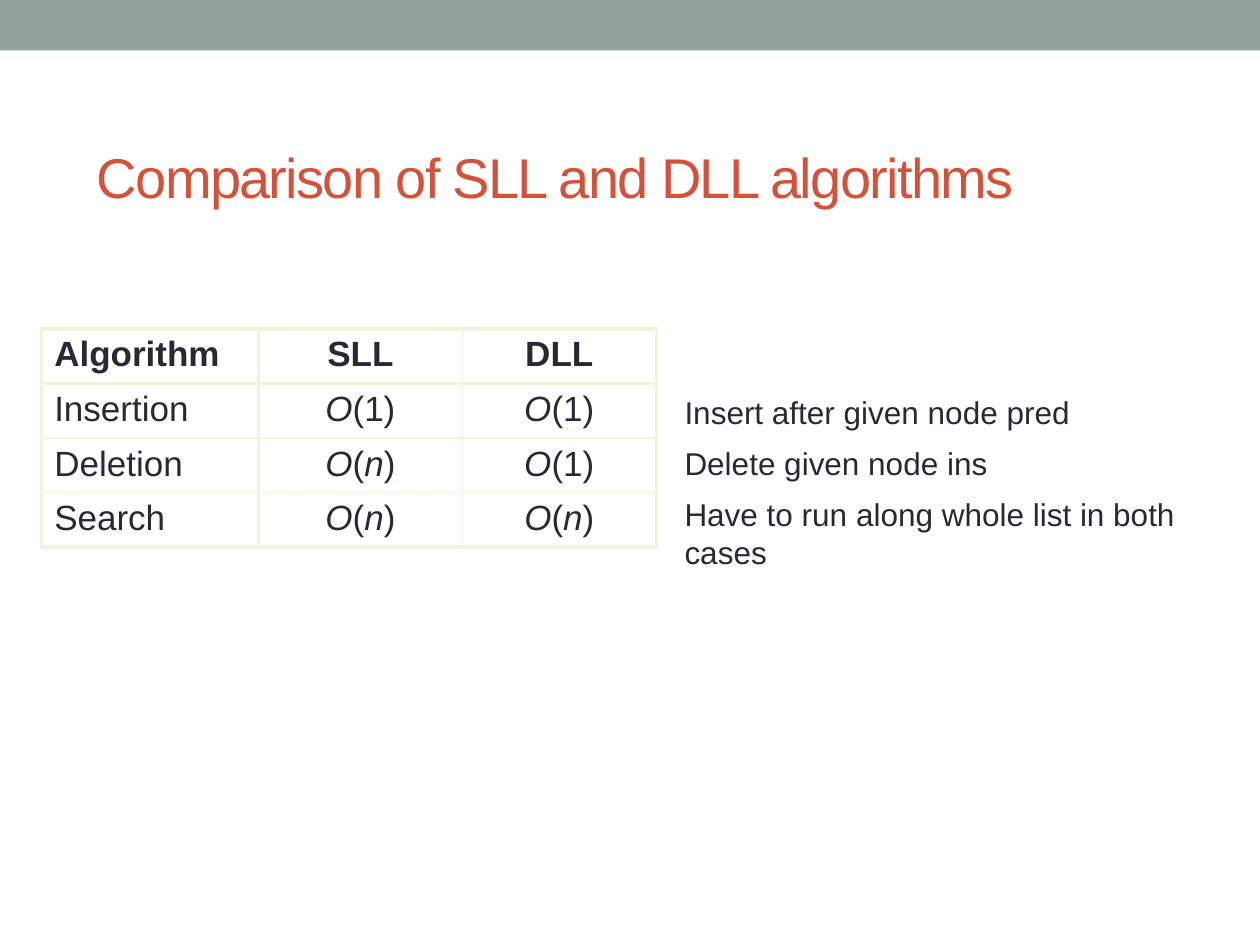
"""Build a slide comparing singly and doubly linked list algorithms."""
from itertools import groupby

from lxml import etree
from pptx import Presentation
from pptx.dml.color import RGBColor
from pptx.enum.shapes import MSO_SHAPE
from pptx.enum.text import MSO_ANCHOR, MSO_AUTO_SIZE, PP_ALIGN
from pptx.oxml.ns import qn
from pptx.util import Cm, Pt

RECTANGLE = MSO_SHAPE.RECTANGLE
MIDDLE = MSO_ANCHOR.MIDDLE
NO_AUTOFIT = MSO_AUTO_SIZE.NONE
LEFT, CENTER = PP_ALIGN.LEFT, PP_ALIGN.CENTER

SAGE = RGBColor(0x93, 0xA2, 0x99)
RUST = RGBColor(0xD2, 0x53, 0x3C)
INK = RGBColor(0x29, 0x29, 0x34)
CREAM = RGBColor(0xF3, 0xF2, 0xDC)
WHITE = RGBColor(0xFF, 0xFF, 0xFF)

TITLE = "Comparison of SLL and DLL algorithms"
ROWS = [
    ("Algorithm", "SLL", "DLL"),
    ("Insertion", "O(1)", "O(1)"),
    ("Deletion", "O(n)", "O(1)"),
    ("Search", "O(n)", "O(n)"),
]
NOTES = [
    ("Insert after given node pred", 7.8, 8.89, 1.02),
    ("Delete given node ins", 8.83, 7.82, 1.02),
    ("Have to run along whole list in both cases", 9.86, 11.86, 1.8),
]
COLUMN_WIDTHS = (4.37, 4.11, 3.91)
ROW_HEIGHT = 1.1
TABLE_LEFT, TABLE_TOP = 0.84, 6.63
NOTES_LEFT = 13.55
THICK, THIN = Pt(2.25), Pt(1)

TITLE_FONT = {"name": "Arial", "size": Pt(32), "bold": False}
CELL_FONT = {"name": "Arial", "size": Pt(20)}
NOTE_FONT = {"name": "Arial", "size": Pt(18)}


def add_run(paragraph, text, color, **font_format):
    run = paragraph.add_run()
    run.text = text
    for name, value in font_format.items():
        setattr(run.font, name, value)
    run.font.color.rgb = color
    return run


def add_border(cell, position, side, width):
    line = etree.Element(qn(f"a:ln{side}"), w=str(width))
    fill = etree.SubElement(line, qn("a:solidFill"))
    etree.SubElement(fill, qn("a:srgbClr"), val=str(CREAM))
    cell._tc.get_or_add_tcPr().insert(position, line)


def fill_cell(cell, text, row, column):
    cell.fill.solid()
    cell.fill.fore_color.rgb = WHITE
    paragraph = cell.text_frame.paragraphs[0]
    paragraph.alignment = CENTER if column else LEFT
    is_formula = row > 0 and column > 0
    for is_letter, letters in groupby(text, str.isalpha):
        add_run(paragraph, "".join(letters), INK, bold=row == 0,
                italic=is_formula and is_letter, **CELL_FONT)
    thick_sides = {
        "L": column < 2,
        "R": column in (0, len(COLUMN_WIDTHS) - 1),
        "T": row < 2,
        "B": row in (0, len(ROWS) - 1),
    }
    for position, (side, is_thick) in enumerate(thick_sides.items()):
        add_border(cell, position, side, THICK if is_thick else THIN)


def add_band(slide, width):
    band = slide.shapes.add_shape(RECTANGLE, 0, 0, width, Cm(1.02))
    band.shadow.inherit = False
    band.fill.solid()
    band.fill.fore_color.rgb = SAGE
    band.line.fill.background()


def format_title(title):
    title.left, title.top, title.width, title.height = Cm(1.7), Cm(2.54), Cm(20.32), Cm(2.01)
    frame = title.text_frame
    frame.auto_size = NO_AUTOFIT
    frame.vertical_anchor = MIDDLE
    frame.paragraphs[0].alignment = LEFT
    run = add_run(frame.paragraphs[0], TITLE, RUST, **TITLE_FONT)
    run.font._element.set("spc", "-100")


def add_comparison_table(slide):
    table = slide.shapes.add_table(
        len(ROWS), len(COLUMN_WIDTHS), Cm(TABLE_LEFT), Cm(TABLE_TOP),
        Cm(sum(COLUMN_WIDTHS)), Cm(ROW_HEIGHT * len(ROWS))).table
    table.first_row = table.horz_banding = False
    for column, width in zip(table.columns, COLUMN_WIDTHS):
        column.width = Cm(width)
    for row, texts in enumerate(ROWS):
        table.rows[row].height = Cm(ROW_HEIGHT)
        for column, text in enumerate(texts):
            fill_cell(table.cell(row, column), text, row, column)


def add_notes(slide):
    for text, top, width, height in NOTES:
        box = slide.shapes.add_textbox(Cm(NOTES_LEFT), Cm(top), Cm(width), Cm(height))
        box.text_frame.word_wrap = True
        add_run(box.text_frame.paragraphs[0], text, INK, **NOTE_FONT)


def main():
    presentation = Presentation()
    presentation.slide_width, presentation.slide_height = Cm(25.4), Cm(19.05)
    slide = presentation.slides.add_slide(presentation.slide_layouts[5])
    add_band(slide, presentation.slide_width)
    format_title(slide.shapes.title)
    add_comparison_table(slide)
    add_notes(slide)
    presentation.save("out.pptx")


if __name__ == "__main__":
    main()
